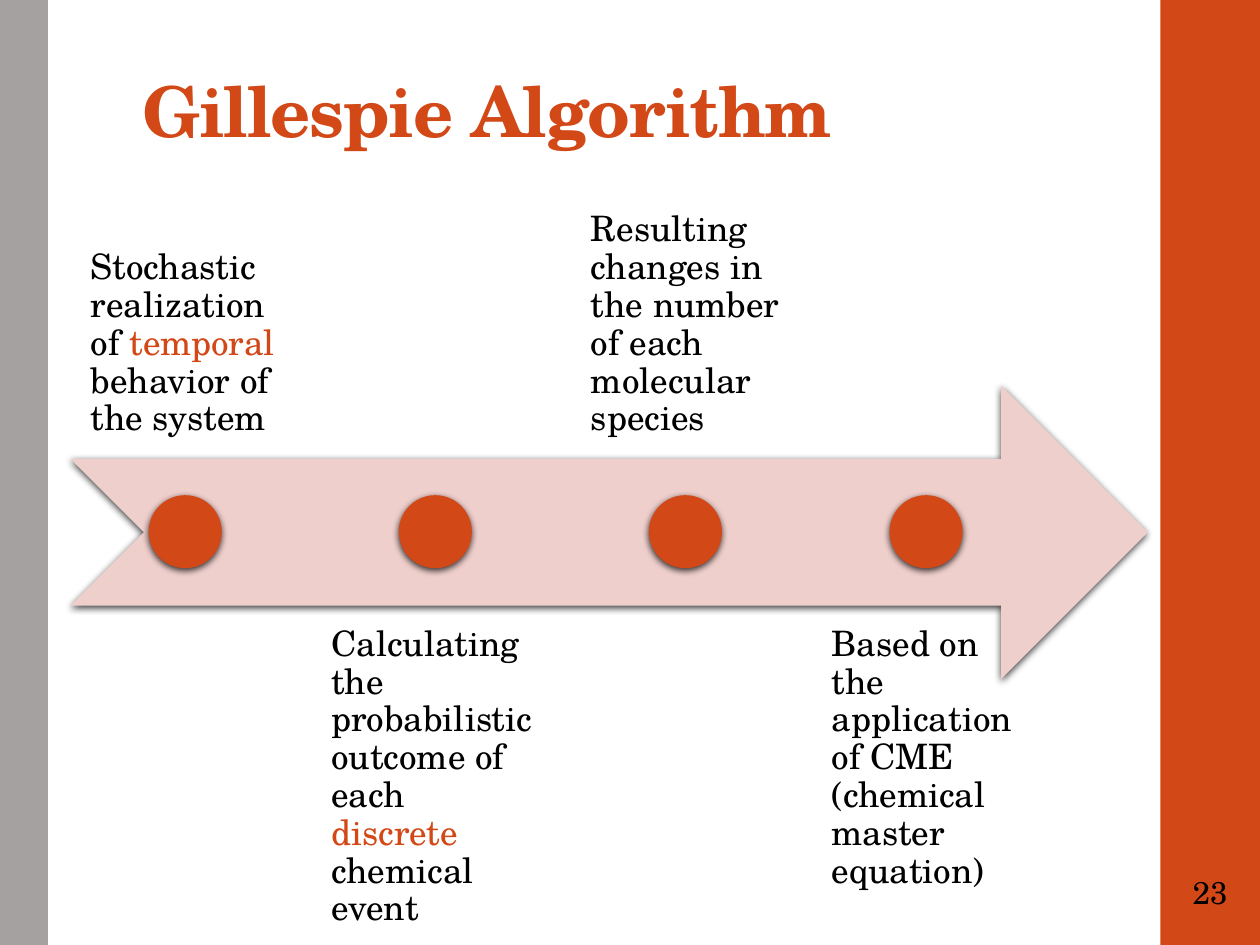
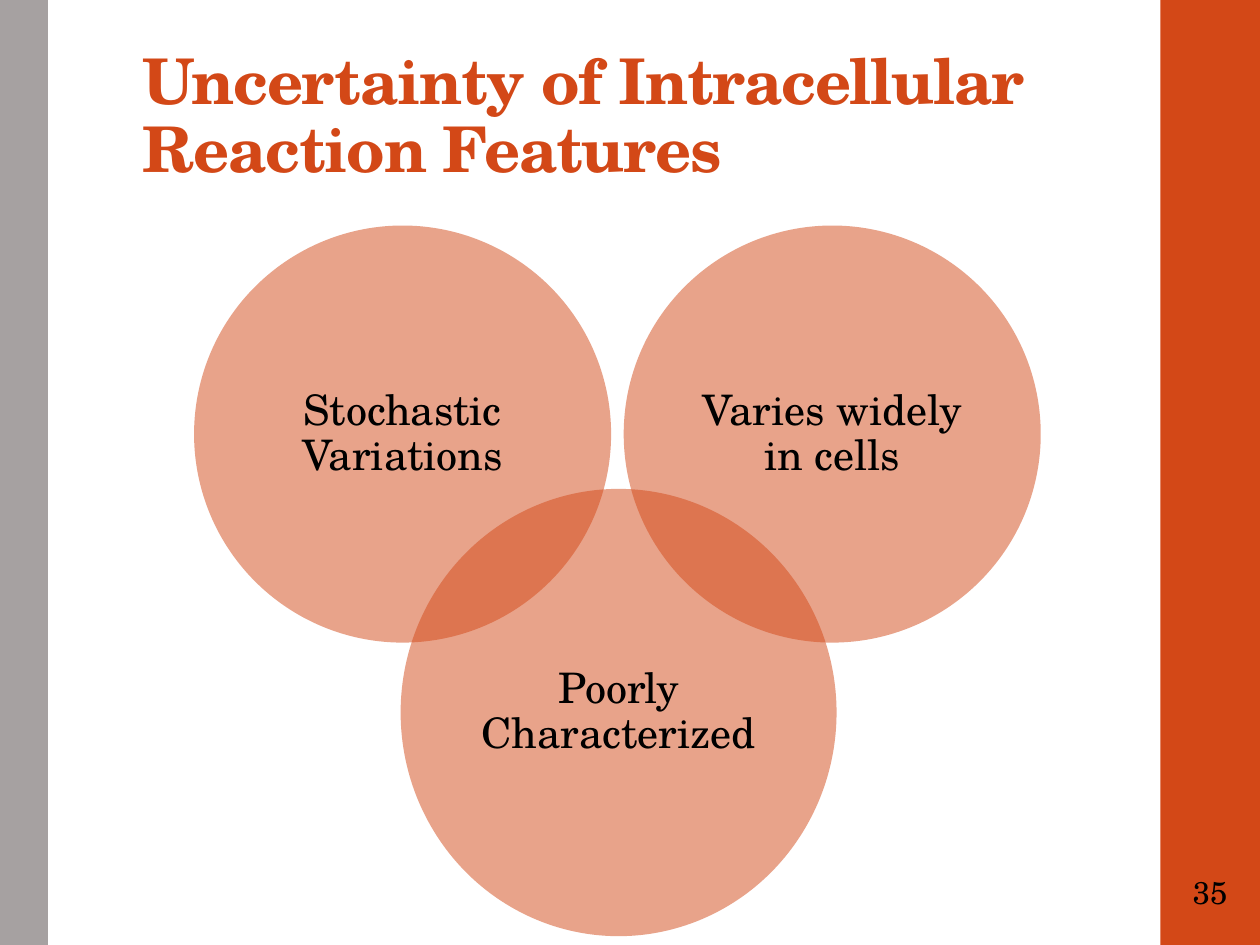
from dataclasses import dataclass

from lxml import etree
from pptx import Presentation
from pptx.dml.color import RGBColor
from pptx.enum.shapes import MSO_SHAPE
from pptx.enum.text import MSO_ANCHOR, MSO_AUTO_SIZE, PP_ALIGN
from pptx.oxml import parse_xml
from pptx.oxml.ns import nsdecls, qn
from pptx.util import Inches, Pt

RECTANGLE, OVAL, ARROW = MSO_SHAPE.RECTANGLE, MSO_SHAPE.OVAL, MSO_SHAPE.NOTCHED_RIGHT_ARROW
TOP, MIDDLE, BOTTOM = MSO_ANCHOR.TOP, MSO_ANCHOR.MIDDLE, MSO_ANCHOR.BOTTOM
LEFT, CENTER = PP_ALIGN.LEFT, PP_ALIGN.CENTER
TITLE_ONLY = 5


@dataclass(frozen=True)
class Theme:
    font: str = "TeX Gyre Schola"
    accent: RGBColor = RGBColor(0xD3, 0x48, 0x17)
    pale: RGBColor = RGBColor(0xEF, 0xCF, 0xCC)
    gray: RGBColor = RGBColor(0xA6, 0xA1, 0xA1)
    text: RGBColor = RGBColor(0, 0, 0)
    number_size: int = 18
    step_size: int = 20
    circle_size: int = 24


class Deck:
    def __init__(self, theme):
        self.theme = theme
        self.presentation = Presentation()
        self.presentation.slide_width = Inches(10)
        self.presentation.slide_height = Inches(7.5)
        self.slide = None

    def add_slide(self, title, title_size, title_height, number):
        layout = self.presentation.slide_layouts[TITLE_ONLY]
        self.slide = self.presentation.slides.add_slide(layout)
        self.shape(RECTANGLE, (9.21, 0, 0.79, 7.5), self.theme.accent)
        self.shape(RECTANGLE, (0, 0, 0.38, 7.5), self.theme.gray)
        self.title(title, title_size, title_height)
        self.text_box((9.23, 6.75, 0.75, 0.65), [(number, self.theme.text)],
                      self.theme.number_size, anchor=MIDDLE, alignment=CENTER,
                      inset=0.03, spacing=1.0)

    def title(self, text, size, height):
        shape = self.slide.shapes.title
        box = dict(zip(("left", "top", "width", "height"), map(Inches, (1.03, 0.4, 7.95, height))))
        for name, value in box.items():
            setattr(shape, name, value)
        self.fill_text(shape, [(text, self.theme.accent)], size, BOTTOM, bold=True)
        for run in shape.text_frame.paragraphs[0].runs:
            run.font._element.set("spc", "-70")

    def fill_text(self, shape, pieces, size, anchor=TOP, alignment=LEFT, inset=0.1,
                  spacing=0.9, bold=False):
        margin = Inches(inset)
        frame_format = {"word_wrap": True, "auto_size": MSO_AUTO_SIZE.NONE,
                        "vertical_anchor": anchor, "margin_left": margin,
                        "margin_right": margin, "margin_top": margin, "margin_bottom": margin}
        for name, value in frame_format.items():
            setattr(shape.text_frame, name, value)
        paragraph = shape.text_frame.paragraphs[0]
        paragraph.alignment = alignment
        paragraph.line_spacing = spacing
        font_format = {"name": self.theme.font, "size": Pt(size), "bold": bold}
        for text, color in pieces:
            run = paragraph.add_run()
            run.text = text
            for name, value in font_format.items():
                setattr(run.font, name, value)
            run.font.color.rgb = color

    def text_box(self, box, pieces, size, **text_format):
        shape = self.slide.shapes.add_textbox(*map(Inches, box))
        self.fill_text(shape, pieces, size, **text_format)

    def shape(self, kind, box, color, opacity=None, shadow=False):
        shape = self.slide.shapes.add_shape(kind, *map(Inches, box))
        shape.fill.solid()
        shape.fill.fore_color.rgb = color
        shape.line.fill.background()
        shape.shadow.inherit = False
        properties = shape._element.spPr
        if opacity is not None:
            fill_color = properties.find(qn("a:solidFill")).find(qn("a:srgbClr"))
            etree.SubElement(fill_color, qn("a:alpha"), val=str(opacity * 1000))
        if shadow:
            properties.find(qn("a:effectLst")).append(parse_xml(
                f'<a:outerShdw {nsdecls("a")} blurRad="{Pt(4)}" dist="{Pt(1.2)}" '
                'dir="5400000" rotWithShape="0"><a:srgbClr val="000000">'
                '<a:alpha val="75000"/></a:srgbClr></a:outerShdw>'))
        return shape

    def timeline(self, steps):
        left, gap, text_height, dot = 0.56, 0.09, 2.33, 0.58
        self.shape(ARROW, (left, 3.06, 8.55, 2.33), self.theme.pale, shadow=True)
        for index, (width, pieces) in enumerate(steps):
            top, anchor = (4.81, TOP) if index % 2 else (1.31, BOTTOM)
            self.text_box((left, top, width, text_height), pieces, self.theme.step_size,
                          anchor=anchor, inset=0.16)
            self.shape(OVAL, (left + (width - dot) / 2, 3.93, dot, dot),
                       self.theme.accent, shadow=True)
            left += width + gap

    def circle(self, text, box):
        shape = self.shape(OVAL, box, self.theme.accent, opacity=50)
        self.fill_text(shape, [(text, self.theme.text)], self.theme.circle_size, MIDDLE, CENTER)


def main():
    theme = Theme()
    deck = Deck(theme)
    deck.add_slide("Gillespie Algorithm", 40, 0.91, "23")
    deck.timeline([
        (1.82, [("Stochastic realization of ", theme.text), ("temporal", theme.accent),
                (" behavior of the system", theme.text)]),
        (1.97, [("Calculating the probabilistic outcome of each ", theme.text),
                ("discrete", theme.accent), (" chemical event", theme.text)]),
        (1.82, [("Resulting changes in the number of each molecular species", theme.text)]),
        (1.82, [("Based on the application of CME (chemical master equation)", theme.text)]),
    ])

    deck.add_slide("Uncertainty of Intracellular Reaction Features", 36, 1.18, "35")
    deck.circle("Stochastic Variations", (1.54, 1.79, 3.31, 3.31))
    deck.circle("Poorly Characterized", (3.18, 3.88, 3.46, 3.55))
    deck.circle("Varies widely in cells", (4.95, 1.79, 3.31, 3.31))
    deck.presentation.save("out.pptx")


if __name__ == "__main__":
    main()
